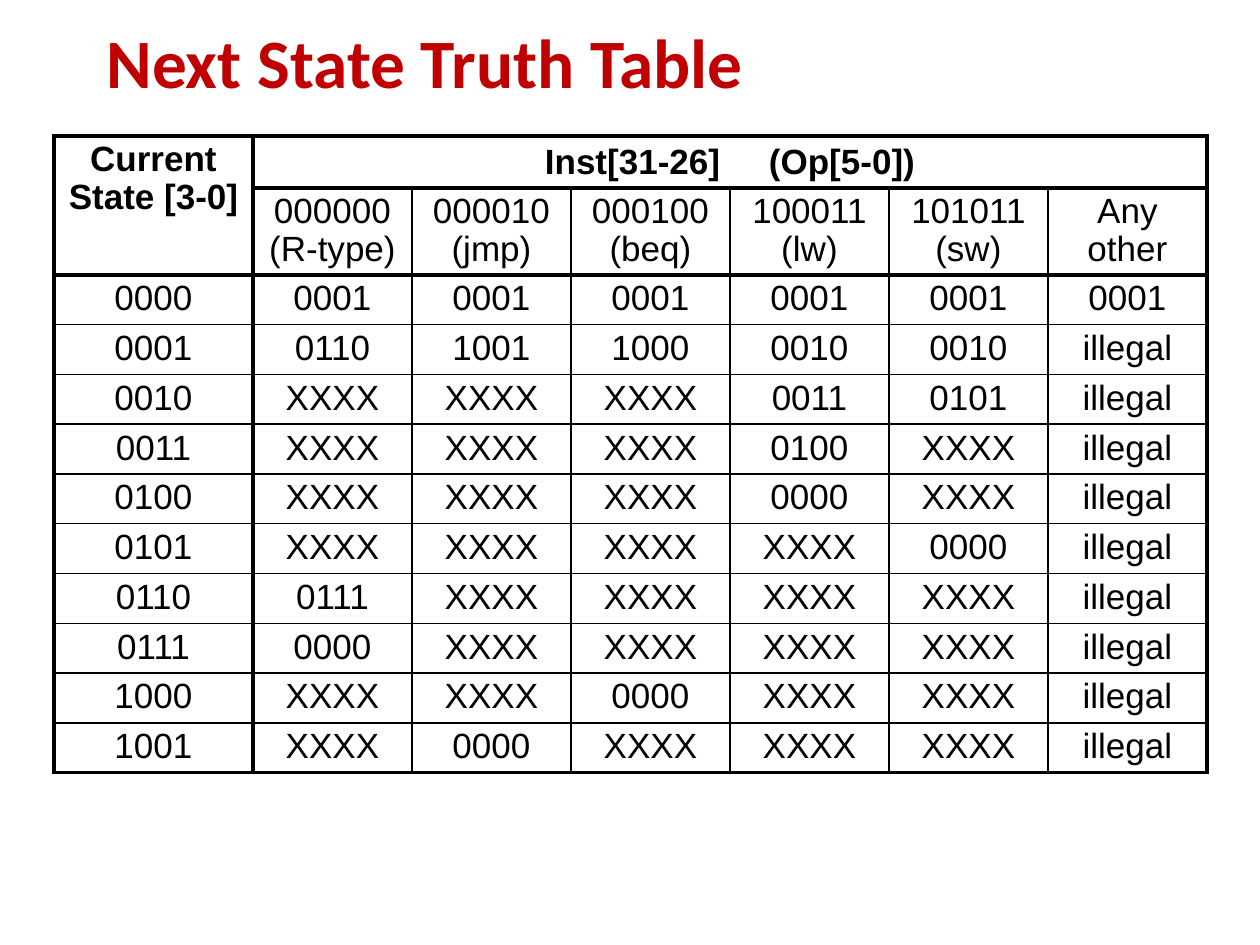
from dataclasses import dataclass

import pptx
import pptx.dml.color
import pptx.enum.text
import pptx.oxml
import pptx.oxml.ns
import pptx.util

RED = pptx.dml.color.RGBColor(0xC0, 0x00, 0x00)
BLACK = pptx.dml.color.RGBColor(0x00, 0x00, 0x00)
THICK, THIN = 2.25, 1
THICK_COLS = {0, 1, 7}  # grid lines drawn thick, counted from the left
THICK_ROWS = {0, 1, 2, 12}  # and from the top

CODES = ["000000 (R-type)", "000010 (jmp)", "000100 (beq)",
         "100011 (lw)", "101011 (sw)", "Any other"]
STATES = """
0000 0001 0001 0001 0001 0001 0001
0001 0110 1001 1000 0010 0010 illegal
0010 XXXX XXXX XXXX 0011 0101 illegal
0011 XXXX XXXX XXXX 0100 XXXX illegal
0100 XXXX XXXX XXXX 0000 XXXX illegal
0101 XXXX XXXX XXXX XXXX 0000 illegal
0110 0111 XXXX XXXX XXXX XXXX illegal
0111 0000 XXXX XXXX XXXX XXXX illegal
1000 XXXX XXXX 0000 XXXX XXXX illegal
1001 XXXX 0000 XXXX XXXX XXXX illegal
"""


@dataclass
class Entry:
    row: int
    col: int
    text: str
    bold: bool = False
    high: int = 1
    wide: int = 1
    lead: float = 0.95


def px(n: int) -> int:
    return round(n * 914400 / 126)


def add_run(para, text: str, font: str, size: float, color, bold: bool):
    run = para.add_run()
    run.text = text
    run.font.name = font
    run.font.size = pptx.util.Pt(size)
    run.font.color.rgb = color
    run.font.bold = bold
    return run


def add_edges(cell, item: Entry) -> None:
    left, right = item.col, item.col + item.wide
    top, end = item.row, item.row + item.high
    edges = [("L", left in THICK_COLS), ("R", right in THICK_COLS),
             ("T", top in THICK_ROWS), ("B", end in THICK_ROWS)]
    props = cell._tc.get_or_add_tcPr()
    for at, (side, thick) in enumerate(edges):
        width = pptx.util.Pt(THICK if thick else THIN)
        props.insert(at, pptx.oxml.parse_xml(
            f'<a:ln{side} {pptx.oxml.ns.nsdecls("a")} w="{width}">'
            f'<a:solidFill><a:srgbClr val="{BLACK}"/></a:solidFill>'
            f'</a:ln{side}>'))


def fill_cell(table, item: Entry) -> None:
    cell = table.cell(item.row, item.col)
    if item.high > 1 or item.wide > 1:
        cell.merge(table.cell(item.row + item.high - 1,
                              item.col + item.wide - 1))
    cell.fill.background()
    add_edges(cell, item)
    para = cell.text_frame.paragraphs[0]
    para.alignment = pptx.enum.text.PP_ALIGN.CENTER
    para.line_spacing = item.lead
    # A tab in the text stands for one widely tracked space
    for n, part in enumerate(item.text.split("\t")):
        if n:
            gap = add_run(para, " ", "Arial", 20, BLACK, item.bold)
            gap._r.get_or_add_rPr().set("spc", "2220")
        add_run(para, part, "Arial", 20, BLACK, item.bold)


def add_title(slide) -> None:
    title = slide.shapes.title
    title.left, title.top = px(94), px(37)
    title.width, title.height = px(1081), px(58)
    frame = title.text_frame
    frame.word_wrap = True
    frame.auto_size = pptx.enum.text.MSO_AUTO_SIZE.NONE
    frame.vertical_anchor = pptx.enum.text.MSO_ANCHOR.MIDDLE
    para = frame.paragraphs[0]
    para.alignment = pptx.enum.text.PP_ALIGN.LEFT
    para.line_spacing = 0.9
    add_run(para, "Next State Truth Table", "Calibri", 39.6, RED, True)


def add_states(slide) -> None:
    rows = [line.split() for line in STATES.strip().splitlines()]
    wides = [199] + [159] * len(CODES)
    highs = [52, 87] + [49] * len(rows)
    table = slide.shapes.add_table(
        len(highs), len(wides), px(54), px(136),
        px(sum(wides)), px(sum(highs))).table
    table.first_row = table.horz_banding = False
    for col, wide in zip(table.columns, wides):
        col.width = px(wide)
    for row, high in zip(table.rows, highs):
        row.height = px(high)

    # Headings, then the opcodes and the next states
    items = [Entry(0, 0, "Current State [3-0]", True, high=2),
             Entry(0, 1, "Inst[31-26]\t(Op[5-0])", True,
                   wide=len(CODES), lead=1.0)]
    items += [Entry(1, c, code) for c, code in enumerate(CODES, 1)]
    items += [Entry(r, c, text) for r, row in enumerate(rows, 2)
              for c, text in enumerate(row)]
    for item in items:
        fill_cell(table, item)


def main() -> None:
    deck = pptx.Presentation()
    deck.slide_width, deck.slide_height = px(1260), px(945)
    slide = deck.slides.add_slide(deck.slide_layouts[5])
    add_title(slide)
    add_states(slide)
    deck.save("out.pptx")


if __name__ == "__main__":
    main()
